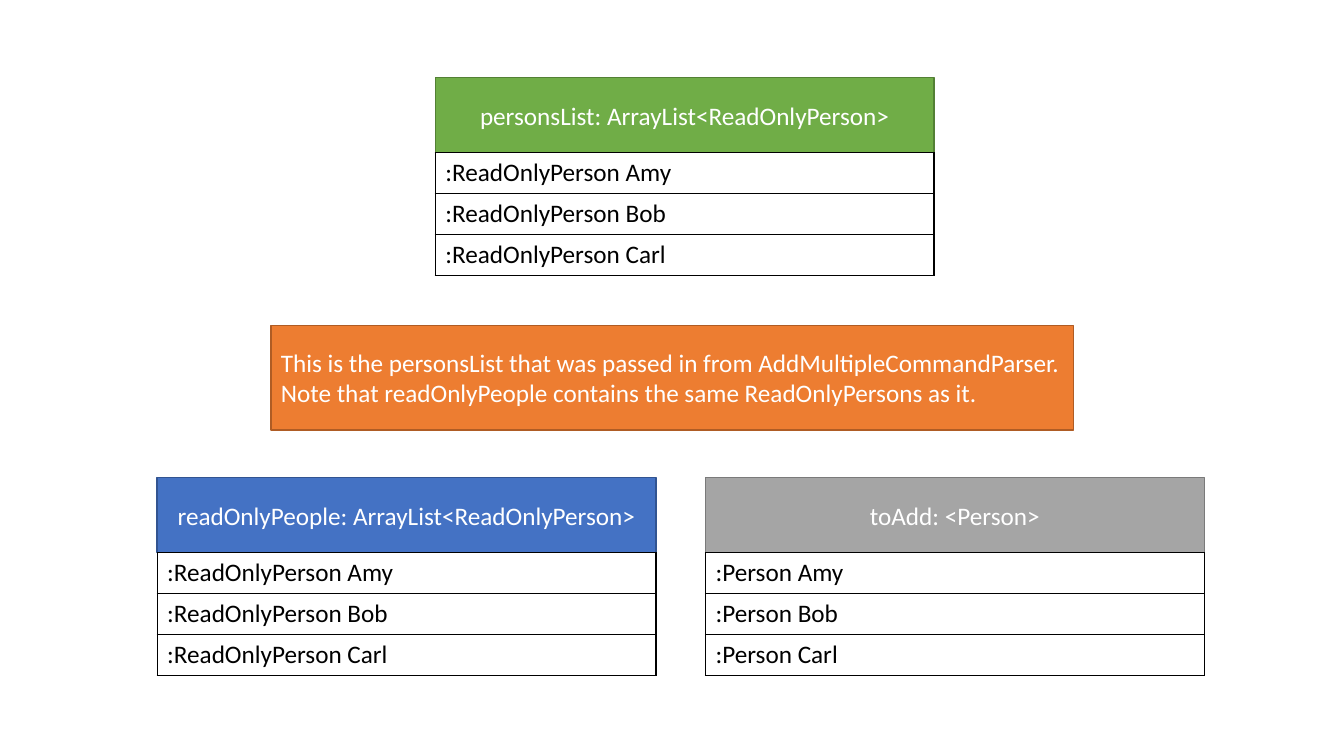
from dataclasses import dataclass

from lxml import etree
from pptx import Presentation
from pptx.dml.color import RGBColor
from pptx.enum.shapes import MSO_SHAPE
from pptx.enum.text import MSO_ANCHOR, PP_ALIGN
from pptx.oxml.ns import qn
from pptx.util import Cm, Pt

RECTANGLE = MSO_SHAPE.RECTANGLE
MIDDLE = MSO_ANCHOR.MIDDLE
CENTER = PP_ALIGN.CENTER
LEFT = PP_ALIGN.LEFT
JUSTIFY = PP_ALIGN.JUSTIFY
BLANK_LAYOUT = 6


@dataclass(frozen=True)
class Theme:
    font: str = "Calibri"
    size: int = 18
    line_width: int = 1
    light: str = "FFFFFF"
    dark: str = "000000"
    blue: tuple = ("4472C4", "325491")
    gray: tuple = ("A5A5A5", "7A7A7A")
    green: tuple = ("70AD47", "538035")
    orange: tuple = ("ED7D31", "AF5C24")


THEME = Theme()
LIST_WIDTH = 12.57
HEADER_HEIGHT = 1.89
ROW_HEIGHT = 1.03
NAMES = ("Amy", "Bob", "Carl")


def write_lines(text_frame, lines, color, alignment):
    for index, line in enumerate(lines):
        paragraph = text_frame.add_paragraph() if index else text_frame.paragraphs[0]
        paragraph.alignment = alignment
        run = paragraph.add_run()
        run.text = line
        run.font.name = THEME.font
        run.font.size = Pt(THEME.size)
        run.font.color.rgb = RGBColor.from_string(color)


def add_box(slide, left, top, width, height, colors, lines, alignment):
    fill_color, line_color = colors
    shape = slide.shapes.add_shape(RECTANGLE, Cm(left), Cm(top), Cm(width), Cm(height))
    shape.shadow.inherit = False
    shape.fill.solid()
    shape.fill.fore_color.rgb = RGBColor.from_string(fill_color)
    shape.line.color.rgb = RGBColor.from_string(line_color)
    shape.line.width = Pt(THEME.line_width)
    shape.text_frame.word_wrap = True
    shape.text_frame.vertical_anchor = MIDDLE
    write_lines(shape.text_frame, lines, THEME.light, alignment)


def add_borders(cell):
    properties = cell._tc.get_or_add_tcPr()
    for side in ("a:lnL", "a:lnR", "a:lnT", "a:lnB"):
        border = etree.SubElement(properties, qn(side), w=str(Pt(THEME.line_width)))
        fill = etree.SubElement(border, qn("a:solidFill"))
        etree.SubElement(fill, qn("a:srgbClr"), val=THEME.dark)


def add_rows(slide, left, top, entries):
    frame = slide.shapes.add_table(
        len(entries), 1, Cm(left), Cm(top), Cm(LIST_WIDTH), Cm(ROW_HEIGHT * len(entries))
    )
    table = frame.table
    table.first_row = False
    table.horz_banding = False
    for row, entry in zip(table.rows, entries):
        row.height = Cm(ROW_HEIGHT)
        cell = row.cells[0]
        add_borders(cell)
        cell.fill.background()
        write_lines(cell.text_frame, [entry], THEME.dark, LEFT)


def add_object_list(slide, left, top, colors, title, type_name):
    add_box(slide, left, top, LIST_WIDTH, HEADER_HEIGHT, colors, [title], CENTER)
    entries = [f":{type_name} {name}" for name in NAMES]
    add_rows(slide, left, top + HEADER_HEIGHT, entries)


def main():
    presentation = Presentation()
    presentation.slide_width = Cm(33.87)
    presentation.slide_height = Cm(19.05)
    slide = presentation.slides.add_slide(presentation.slide_layouts[BLANK_LAYOUT])

    object_lists = (
        (3.96, 12.04, THEME.blue, "readOnlyPeople: ArrayList<ReadOnlyPerson>", "ReadOnlyPerson"),
        (17.78, 12.04, THEME.gray, "toAdd: <Person>", "Person"),
        (10.97, 1.96, THEME.green, "personsList: ArrayList<ReadOnlyPerson>", "ReadOnlyPerson"),
    )
    for object_list in object_lists:
        add_object_list(slide, *object_list)

    note = (
        "This is the personsList that was passed in from AddMultipleCommandParser.",
        "Note that readOnlyPeople contains the same ReadOnlyPersons as it.",
    )
    add_box(slide, 6.83, 8.2, 20.22, 2.64, THEME.orange, note, JUSTIFY)

    presentation.save("out.pptx")


if __name__ == "__main__":
    main()
